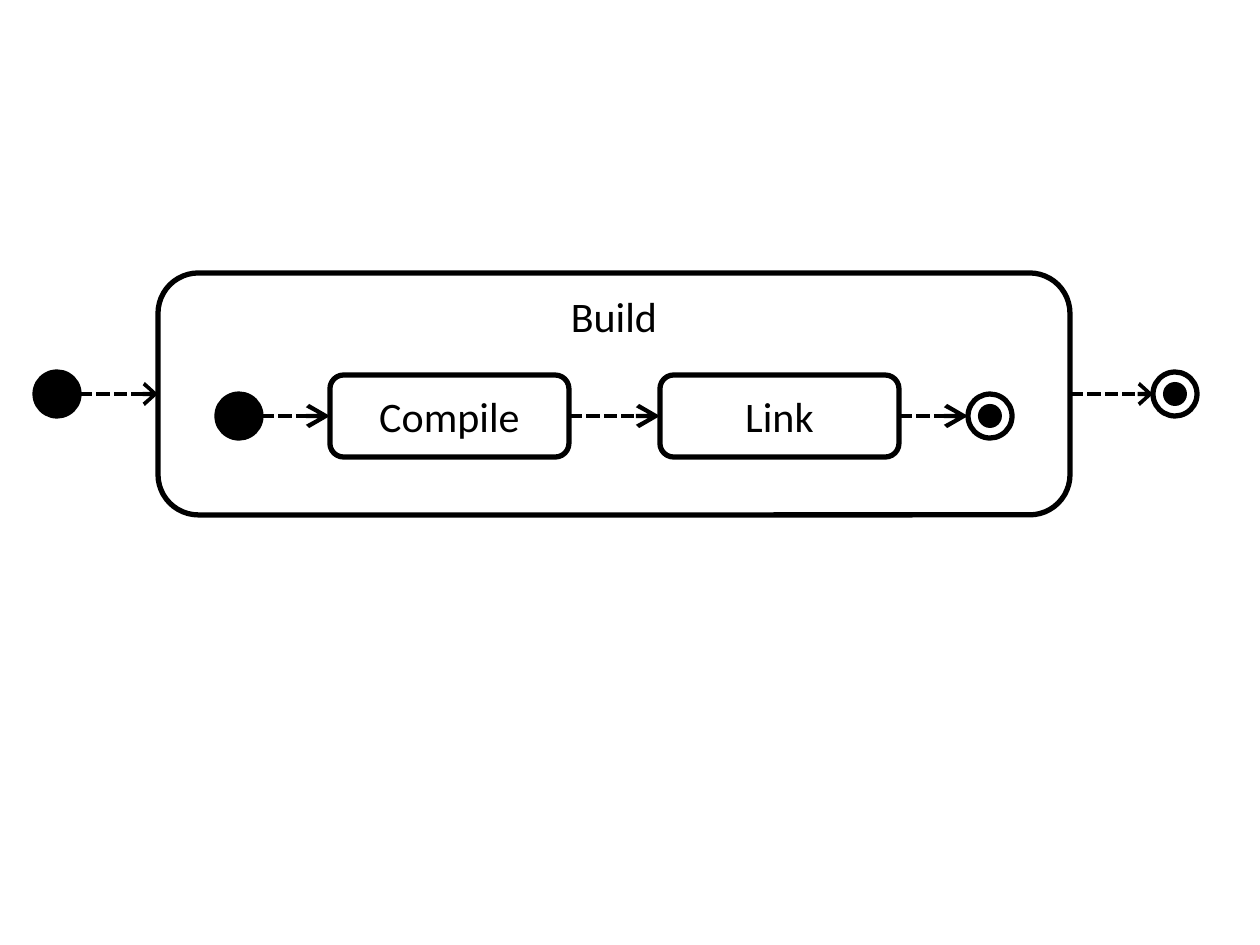
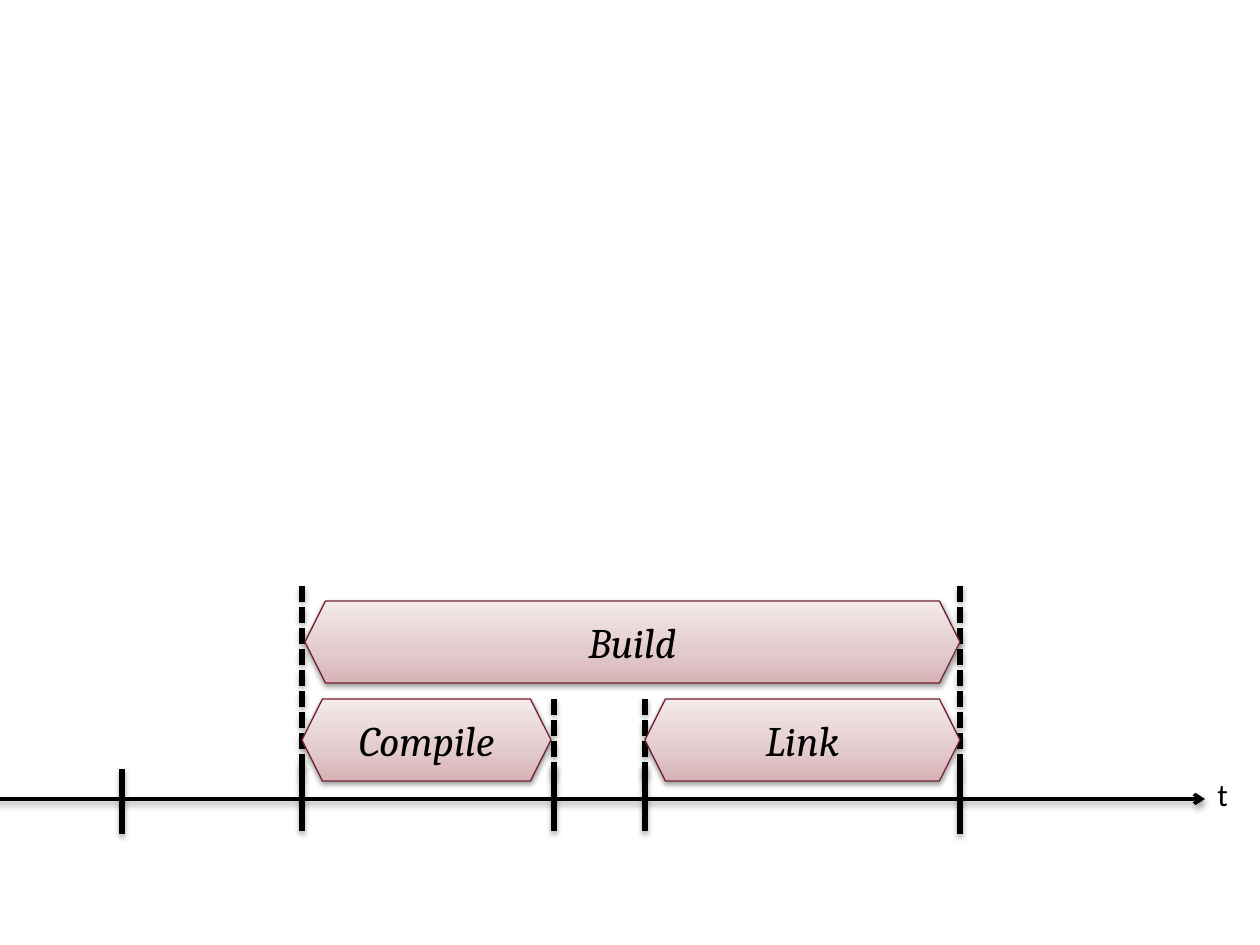
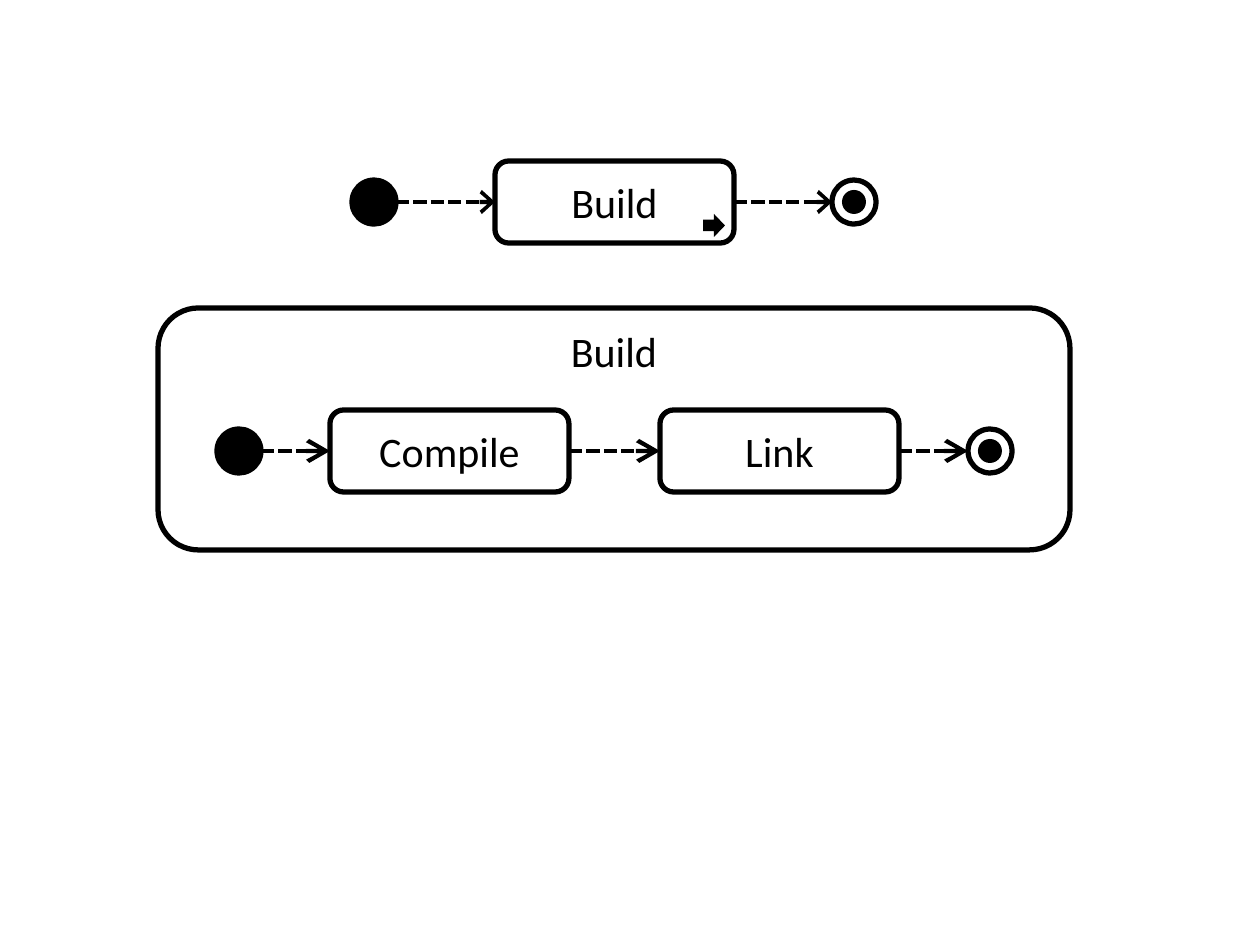
"""Draw a build job as state machines and as a timeline."""
from dataclasses import dataclass
from itertools import pairwise

from lxml.etree import SubElement
from pptx import Presentation
from pptx.dml.color import RGBColor
from pptx.enum.shapes import MSO_CONNECTOR as Link, MSO_SHAPE as Kind
from pptx.enum.text import MSO_ANCHOR as Anchor, MSO_AUTO_SIZE as Fit, PP_ALIGN as Align
from pptx.oxml import parse_xml
from pptx.oxml.ns import nsdecls, qn
from pptx.util import Emu, Pt

SCALE = 914400 / 126
INK = "000000"
WINE = "752234"
FADE = ((0, "D6B1B5"), (35, "E2C9CC"), (100, "F4EAEB"))
DOT = 44
CORE = 24
STEP = 239
HIGH = 82


@dataclass(frozen=True)
class Node:
    """A state in a chain: a named box, or a start or end dot."""
    kind: str
    left: int
    width: int = DOT
    high: int = HIGH
    text: str = ""
    anchor: Anchor = Anchor.MIDDLE


@dataclass(frozen=True)
class Tick:
    """A mark on the time axis, with a dashed guide above if it has a top."""
    left: int
    top: int
    guide: int | None = None


@dataclass(frozen=True)
class Span:
    """A named stretch of time."""
    text: str
    left: int
    top: int
    width: int


@dataclass(frozen=True)
class Shade:
    """A soft shadow straight below: strength in percent, distance in EMU."""
    alpha: int
    dist: int


LIGHT = Shade(38, 20000)
FIRM = Shade(35, 23000)


def px(size: int) -> Emu:
    """Turn pixels into EMU."""
    return Emu(round(size * SCALE))


def color(code: str) -> RGBColor:
    """Read a hex colour."""
    return RGBColor.from_string(code)


def write(shape, text: str, size: int = 24, font: str = "Calibri",
          slant: bool = False, align: Align = Align.CENTER,
          anchor: Anchor = Anchor.MIDDLE) -> None:
    """Put formatted text into a shape."""
    frame = shape.text_frame
    frame.text = text
    frame.vertical_anchor = anchor
    para = frame.paragraphs[0]
    para.alignment = align
    face = para.runs[0].font
    face.name, face.size = font, Pt(size)
    face.color.rgb = color(INK)
    if slant:
        face.italic = True


def cast(shape, shade: Shade | None) -> None:
    """Give a shape its shadow, or an empty effect list."""
    props = shape._element.spPr
    for old in props.findall(qn("a:effectLst")):
        props.remove(old)
    glow = SubElement(props, qn("a:effectLst"))
    if shade:
        drop = SubElement(glow, qn("a:outerShdw"), blurRad="40000",
                          dist=str(shade.dist), dir="5400000", rotWithShape="0")
        tint = SubElement(drop, qn("a:srgbClr"), val=INK)
        SubElement(tint, qn("a:alpha"), val=str(shade.alpha * 1000))


def draw(shapes, kind: Kind, left: int, top: int, width: int, high: int,
         fill: str | None = None, edge: str | None = INK, weight: float = 3):
    """Add a plain preset shape."""
    shape = shapes.add_shape(kind, px(left), px(top), px(width), px(high))
    shape.shadow.inherit = False
    if fill:
        shape.fill.solid()
        shape.fill.fore_color.rgb = color(fill)
    else:
        shape.fill.background()
    if edge:
        shape.line.color.rgb = color(edge)
        shape.line.width = Pt(weight)
    else:
        shape.line.fill.background()
    return shape


def rule(shapes, start: tuple[int, int], end: tuple[int, int], weight: float,
         dash: bool = False, head: tuple[str, str] | None = None,
         shade: Shade | None = None) -> None:
    """Add a line; head gives the width and length of its arrowhead."""
    ends = [px(n) for n in (*start, *end)]
    line = shapes.add_connector(Link.STRAIGHT, *ends)
    line.line.color.rgb = color(INK)
    line.line.width = Pt(weight)
    pen = line._element.spPr.find(qn("a:ln"))
    if dash:
        SubElement(pen, qn("a:prstDash"), val="sysDash")
    if head:
        SubElement(pen, qn("a:tailEnd"), type="arrow", w=head[0], len=head[1])
    cast(line, shade)


def place(shapes, node: Node, mid: int) -> None:
    """Draw one node centred on a height."""
    if node.kind == "box":
        box = draw(shapes, Kind.ROUNDED_RECTANGLE, node.left,
                   mid - node.high // 2, node.width, node.high)
        write(box, node.text, anchor=node.anchor)
        return
    top = mid - DOT // 2
    if node.kind == "start":
        draw(shapes, Kind.OVAL, node.left, top, DOT, DOT, INK)
        return
    group = shapes.add_group_shape().shapes
    gap = (DOT - CORE) // 2
    draw(group, Kind.OVAL, node.left + gap, top + gap, CORE, CORE, INK, None)
    draw(group, Kind.OVAL, node.left, top, DOT, DOT)


def chain(shapes, mid: int, nodes: list[Node], reach: str = "med") -> None:
    """Draw nodes in a row and an arrow from each to the next."""
    for one, two in pairwise(nodes):
        rule(shapes, (one.left + one.width, mid), (two.left, mid), 2.5,
             dash=True, head=("lg", reach))
    for node in nodes:
        place(shapes, node, mid)


FRAME = Node("box", 158, 912, 242, "Build", Anchor.TOP)
STEPS = [Node("start", 217), Node("box", 330, STEP, text="Compile"),
         Node("box", 660, STEP, text="Link"), Node("end", 968)]
OUTER = [Node("start", 35), FRAME, Node("end", 1153)]
SHORT = [Node("start", 352), Node("box", 495, STEP, text="Build"),
         Node("end", 832)]
TICKS = [Tick(122, 769), Tick(302, 766, 586), Tick(554, 766, 699),
         Tick(645, 766, 699), Tick(960, 769, 586)]
SPANS = [Span("Compile", 302, 699, 249), Span("Link", 645, 699, 315),
         Span("Build", 305, 601, 655)]


def nest(shapes) -> None:
    """Draw the build state with its steps inside."""
    chain(shapes, 394, OUTER)
    chain(shapes, 416, STEPS, "lg")


def split(shapes) -> None:
    """Draw the build state in short form and its steps below."""
    chain(shapes, 202, SHORT)
    draw(shapes, Kind.RIGHT_ARROW, 703, 214, 22, 23, INK, None)
    place(shapes, FRAME, 429)
    chain(shapes, 451, STEPS, "lg")


def bar(shapes, span: Span) -> None:
    """Draw a shaded bar for a span."""
    shape = draw(shapes, Kind.HEXAGON, span.left, span.top, span.width, HIGH,
                 edge=WINE, weight=0.75)
    stops = "".join(f'<a:gs pos="{at * 1000}"><a:srgbClr val="{code}"/></a:gs>'
                    for at, code in FADE)
    fade = parse_xml(f'<a:gradFill {nsdecls("a")}><a:gsLst>{stops}</a:gsLst>'
                     '<a:lin ang="16200000" scaled="0"/></a:gradFill>')
    props = shape._element.spPr
    props.replace(props.find(qn("a:noFill")), fade)
    cast(shape, LIGHT)
    write(shape, span.text, font="Cambria", slant=True)


def time(shapes) -> None:
    """Draw the time axis, its ticks and the spans above."""
    rule(shapes, (-26, 799), (1205, 799), 2, head=("med", "med"), shade=LIGHT)
    label = shapes.add_textbox(px(1205), px(769), px(37), px(50))
    write(label, "t", 18, align=Align.LEFT, anchor=Anchor.TOP)
    label.text_frame.word_wrap = False
    label.text_frame.auto_size = Fit.SHAPE_TO_FIT_TEXT
    for tick in TICKS:
        rule(shapes, (tick.left, tick.top), (tick.left, tick.top + 65), 3,
             shade=FIRM)
        if tick.guide is not None:
            rule(shapes, (tick.left, tick.guide), (tick.left, 778), 3,
                 dash=True, shade=FIRM)
    for span in SPANS:
        bar(shapes, span)


def main() -> None:
    """Build the deck."""
    deck = Presentation()
    deck.slide_width, deck.slide_height = px(1260), px(945)
    for paint in (nest, time, split):
        paint(deck.slides.add_slide(deck.slide_layouts[6]).shapes)
    deck.save("out.pptx")


if __name__ == "__main__":
    main()
